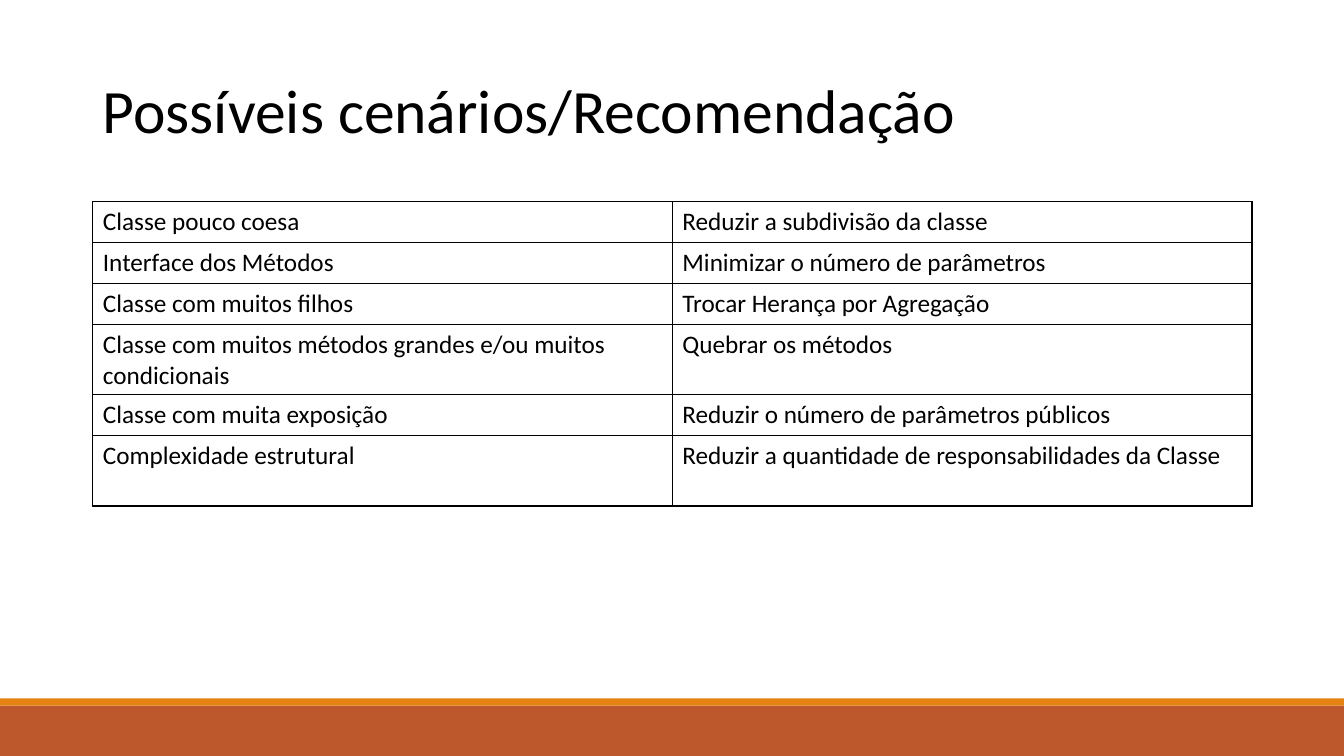
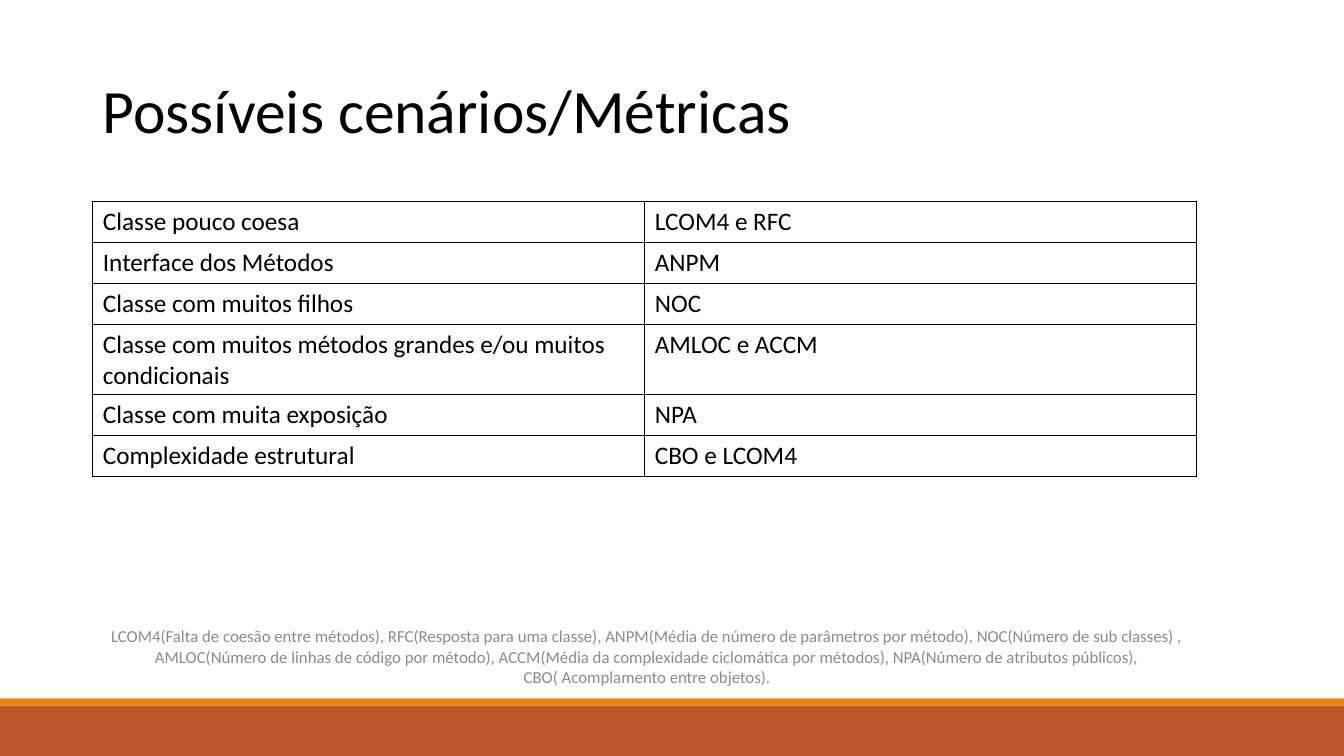
import pptx
import pptx.util
import pptx.dml.color
import pptx.enum.shapes
import pptx.enum.text
import pptx.oxml
import pptx.oxml.ns

Cm = pptx.util.Cm
Pt = pptx.util.Pt
Anchor = pptx.enum.text.MSO_ANCHOR
Align = pptx.enum.text.PP_ALIGN

CASES = [
    "Classe pouco coesa",
    "Interface dos Métodos",
    "Classe com muitos filhos",
    "Classe com muitos métodos grandes e/ou muitos condicionais",
    "Classe com muita exposição",
    "Complexidade estrutural",
]

SLIDES = [
    {
        "title": "Possíveis cenários/Recomendação",
        "items": [
            "Reduzir a subdivisão da classe",
            "Minimizar o número de parâmetros",
            "Trocar Herança por Agregação",
            "Quebrar os métodos",
            "Reduzir o número de parâmetros públicos",
            "Reduzir a quantidade de responsabilidades da Classe",
        ],
        "width": 29.21,
        "tall": (3, 5),
    },
    {
        "title": "Possíveis cenários/Métricas",
        "items": [
            "LCOM4 e RFC",
            "ANPM",
            "NOC",
            "AMLOC e ACCM",
            "NPA",
            "CBO e LCOM4",
        ],
        "width": 27.82,
        "tall": (3,),
        "note": "LCOM4(Falta de coesão entre métodos), "
                "RFC(Resposta para uma classe), "
                "ANPM(Média de número de parâmetros por método), "
                "NOC(Número de sub classes) , "
                "AMLOC(Número de linhas de código por método), "
                "ACCM(Média da complexidade ciclomática por métodos), "
                "NPA(Número de atributos públicos), "
                "CBO( Acomplamento entre objetos).",
    },
]

THEME = {
    "font": "Calibri",
    "title": (44, "000000"),
    "cell": (18, "000000"),
    "note": (12, "8B8B8B"),
    "rust": "BD582C",
    "gold": "E48312",
    "line": "000000",
}

WIDE, HIGH = 33.87, 19.05
LEFT = 2.34
BANDS = [("rust", 17.78, 1.27), ("gold", 17.6, 0.18)]
ROW, TALL = 1.03, 1.77


def tint(code):
    return pptx.dml.color.RGBColor.from_string(code)


def write(frame, text, style):
    size, color = THEME[style]
    para = frame.paragraphs[0]
    run = para.add_run()
    run.text = text
    run.font.name = THEME["font"]
    run.font.size = Pt(size)
    run.font.bold = False
    run.font.color.rgb = tint(color)
    return para


def add_text(slide, text, style, top, width, height):
    box = slide.shapes.add_textbox(Cm(LEFT), Cm(top), Cm(width), Cm(height))
    frame = box.text_frame
    frame.word_wrap = True
    frame.vertical_anchor = Anchor.MIDDLE
    return write(frame, text, style)


def add_bands(slide):
    for color, top, height in BANDS:
        band = slide.shapes.add_shape(
            pptx.enum.shapes.MSO_SHAPE.RECTANGLE,
            0, Cm(top), Cm(WIDE), Cm(height))
        band.shadow.inherit = False
        band.fill.solid()
        band.fill.fore_color.rgb = tint(THEME[color])
        band.line.fill.background()


def add_edges(cell):
    props = cell._tc.get_or_add_tcPr()
    space = pptx.oxml.ns.nsdecls("a")
    for spot, side in enumerate("LRTB"):
        props.insert(spot, pptx.oxml.parse_xml(
            f'<a:ln{side} {space} w="{Pt(1)}"><a:solidFill>'
            f'<a:srgbClr val="{THEME["line"]}"/></a:solidFill></a:ln{side}>'))


def add_grid(slide, items, width, tall):
    sizes = [TALL if row in tall else ROW for row in range(len(CASES))]
    grid = slide.shapes.add_table(
        len(CASES), 2, Cm(LEFT), Cm(5.08), Cm(width), Cm(sum(sizes))).table
    grid.first_row = False
    grid.horz_banding = False
    for row, pair in enumerate(zip(CASES, items)):
        grid.rows[row].height = Cm(sizes[row])
        for col, text in enumerate(pair):
            cell = grid.cell(row, col)
            cell.fill.background()
            add_edges(cell)
            write(cell.text_frame, text, "cell")


def main():
    deck = pptx.Presentation()
    deck.slide_width, deck.slide_height = Cm(WIDE), Cm(HIGH)
    for page in SLIDES:
        slide = deck.slides.add_slide(deck.slide_layouts[6])
        add_bands(slide)
        head = add_text(slide, page["title"], "title", 1.02, 29.21, 3.68)
        head.line_spacing = 0.9
        add_grid(slide, page["items"], page["width"], page["tall"])
        if "note" in page:
            note = add_text(slide, page["note"], "note", 15.65, 27.94, 1.78)
            note.alignment = Align.CENTER
    deck.save("out.pptx")


if __name__ == "__main__":
    main()
